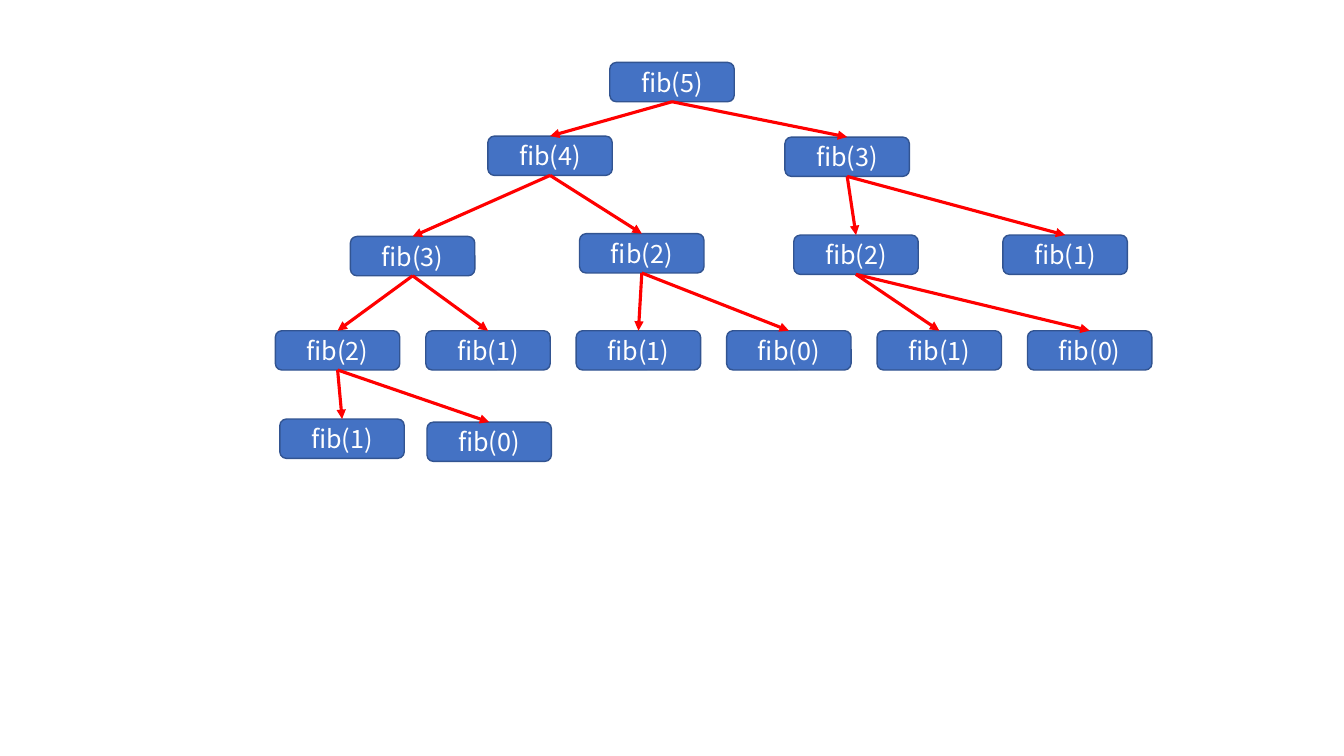
"""Draw the call tree of a recursive fib(5)."""
from pptx import Presentation
from pptx.dml.color import RGBColor
from pptx.enum.shapes import MSO_CONNECTOR, MSO_SHAPE
from pptx.enum.text import MSO_ANCHOR, PP_ALIGN
from pptx.oxml.ns import qn
from pptx.util import Pt
from lxml.etree import SubElement

BLUE = RGBColor(0x44, 0x72, 0xC4)
NAVY = RGBColor(0x32, 0x54, 0x91)
RED = RGBColor(0xFF, 0x00, 0x00)
WHITE = RGBColor(0xFF, 0xFF, 0xFF)
FONT = "Noto Sans CJK SC"
WIDTH, HEIGHT = 88.9, 28.1
ROW_LEFT, ROW_TOP, ROW_STEP = 196.7, 236.2, 107.45
TOP_SITE, BOTTOM_SITE = 0, 2

# Each call: path from the root (L or R per step), argument, left, top.
UPPER = [
    ("", 5, 435.6, 44.6),
    ("L", 4, 348.5, 97.2),
    ("R", 3, 560.7, 97.9),
    ("LL", 3, 250.3, 168.9),
    ("LR", 2, 414.0, 166.9),
    ("RL", 2, 567.0, 167.9),
    ("RR", 1, 716.4, 167.9),
]
ROW = [("LLL", 2), ("LLR", 1), ("LRL", 1), ("LRR", 0), ("RLL", 1), ("RLR", 0)]
LOWER = [("LLLL", 1, 199.9, 299.3), ("LLLR", 0, 305.0, 301.5)]


def add_call(slide, num, left, top):
    box = slide.shapes.add_shape(
        MSO_SHAPE.ROUNDED_RECTANGLE, Pt(left), Pt(top), Pt(WIDTH), Pt(HEIGHT))
    box.shadow.inherit = False
    box.fill.solid()
    box.fill.fore_color.rgb = BLUE
    box.line.color.rgb = NAVY
    box.line.width = Pt(1)
    frame = box.text_frame
    frame.vertical_anchor = MSO_ANCHOR.MIDDLE
    para = frame.paragraphs[0]
    para.alignment = PP_ALIGN.CENTER
    run = para.add_run()
    run.text = f"fib({num})"
    run.font.size = Pt(18)
    run.font.name = FONT
    run.font.color.rgb = WHITE
    return box


def add_arrow(slide, caller, callee):
    arrow = slide.shapes.add_connector(MSO_CONNECTOR.STRAIGHT, 0, 0, 0, 0)
    arrow.begin_connect(caller, BOTTOM_SITE)
    arrow.end_connect(callee, TOP_SITE)
    arrow.line.color.rgb = RED
    arrow.line.width = Pt(2.25)
    SubElement(arrow.line._get_or_add_ln(), qn("a:tailEnd"), type="triangle")
    SubElement(arrow._element.spPr, qn("a:effectLst"))


deck = Presentation()
deck.slide_width, deck.slide_height = Pt(960), Pt(540)
slide = deck.slides.add_slide(deck.slide_layouts[6])

row = [(key, num, ROW_LEFT + i * ROW_STEP, ROW_TOP)
       for i, (key, num) in enumerate(ROW)]
calls = {key: add_call(slide, num, left, top)
         for key, num, left, top in UPPER + row + LOWER}
for key, box in calls.items():
    if key:
        add_arrow(slide, calls[key[:-1]], box)

deck.save("out.pptx")
